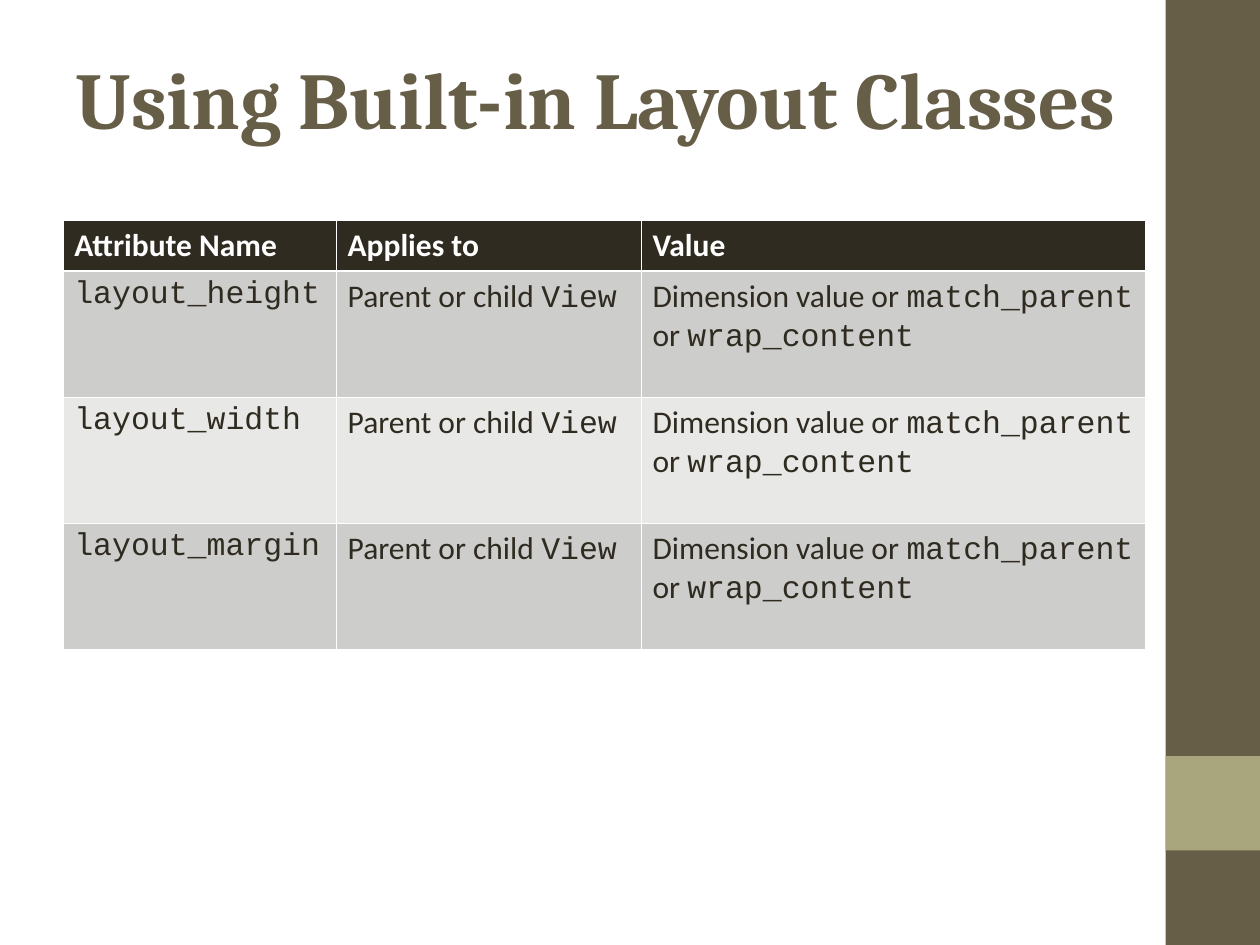
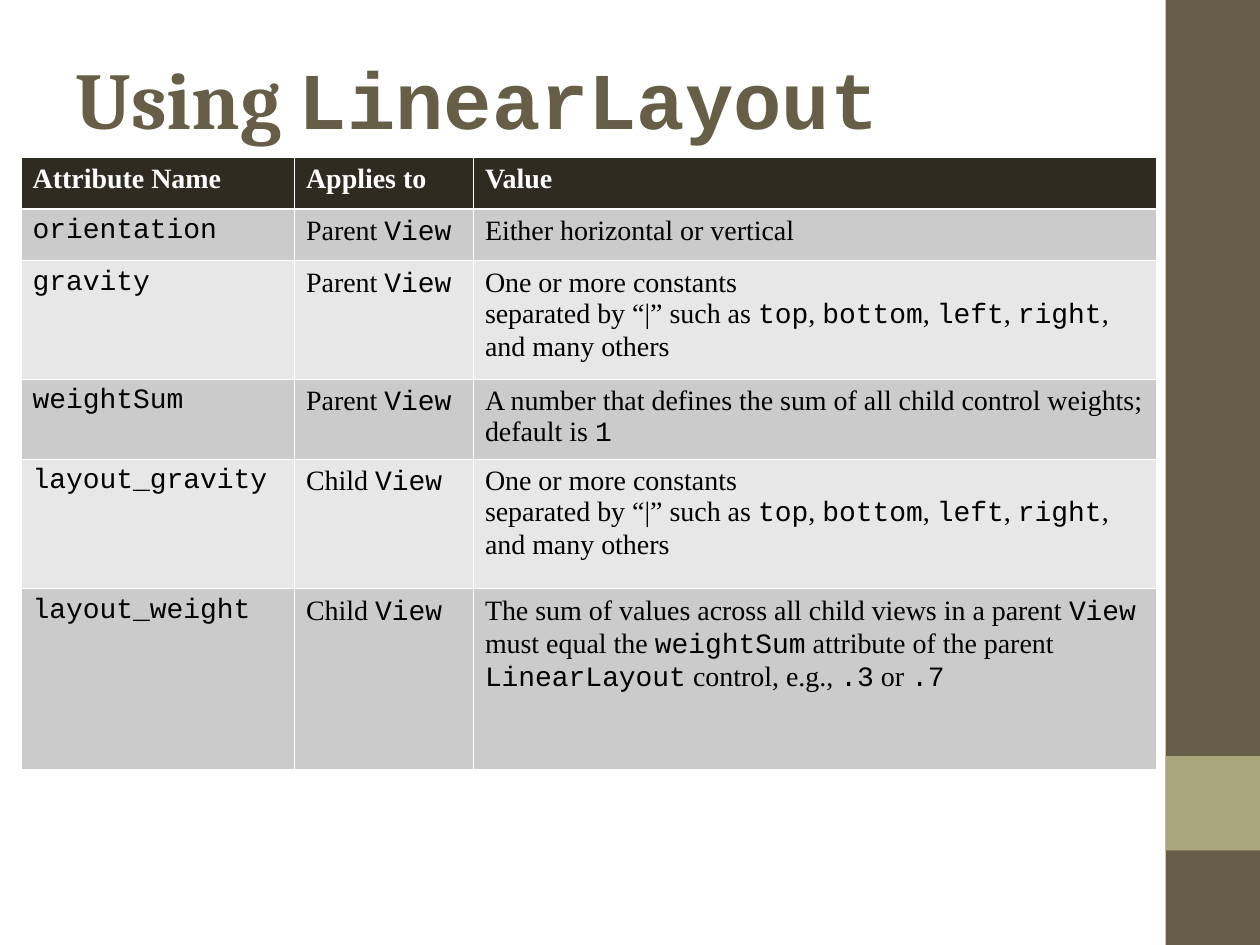
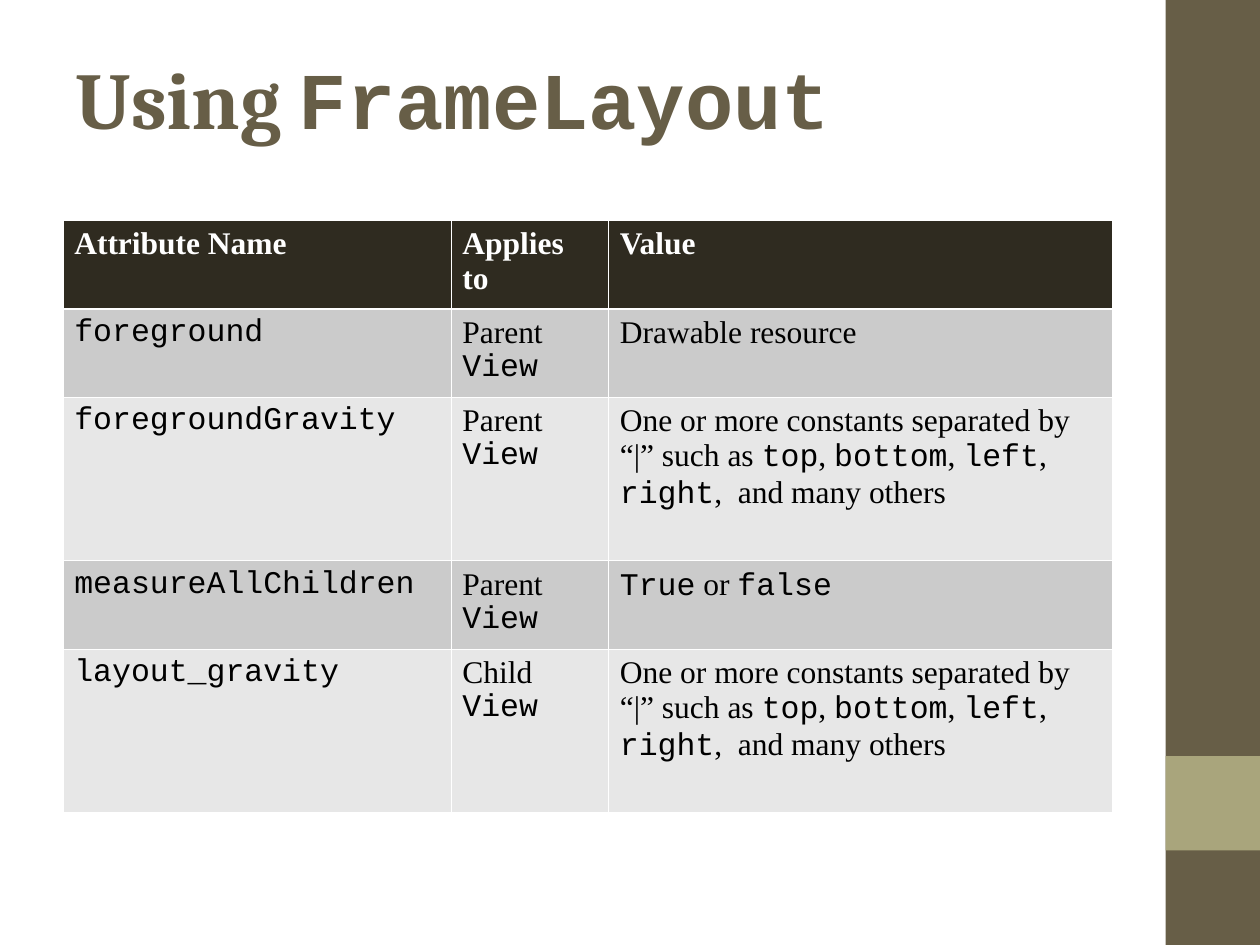
"""Build three slides on mobile layout attributes, each with a titled table."""
from pptx import Presentation
from pptx.dml.color import RGBColor
from pptx.enum.shapes import MSO_SHAPE
from pptx.enum.text import MSO_ANCHOR
from pptx.oxml import parse_xml
from pptx.oxml.ns import nsdecls
from pptx.util import Inches, Pt

COLORS = {
    "band": "675E47",
    "accent": "A9A57C",
    "title": "675E47",
    "header": "2F2B20",
    "white": "FFFFFF",
    "black": "000000",
    "warm_dark": "CDCDCC",
    "warm_light": "E8E8E7",
    "gray_dark": "CBCBCB",
    "gray_light": "E7E7E7",
}
WARM = ("warm_dark", "warm_light")
GRAY = ("gray_dark", "gray_light")
CODE_FONT = "Courier New"
HEADERS = ("Attribute Name", "Applies to", "Value")
THIN, THICK = Pt(0.45), Pt(1.47)

DIMENSION = "Dimension value or `match_parent` or `wrap_content`"
SIDES = "separated by “|” such as `top`, `bottom`, `left`, `right`,"
TWO_LINE_SIDES = f"One or more constants\n{SIDES} and many others"
ONE_LINE_SIDES = f"One or more constants {SIDES}  and many others"

BUILT_IN_ROWS = [
    (f"`layout_{name}`", "Parent or child `View`", DIMENSION)
    for name in ("height", "width", "margin")
]
LINEAR_ROWS = [
    ("`orientation`", "Parent `View`", "Either horizontal or vertical"),
    ("`gravity`", "Parent `View`", TWO_LINE_SIDES),
    ("`weightSum`", "Parent `View`",
     "A number that defines the sum of all child control weights; default is `1`"),
    ("`layout_gravity`", "Child `View`", TWO_LINE_SIDES),
    ("`layout_weight`", "Child `View`",
     "The sum of values across all child views in a parent `View` must equal the "
     "`weightSum` attribute of the parent `LinearLayout` control, e.g., `.3` or `.7`"),
]
FRAME_ROWS = [
    ("`foreground`", "Parent `View`", "Drawable resource"),
    ("`foregroundGravity`", "Parent `View`", ONE_LINE_SIDES),
    ("`measureAllChildren`", "Parent `View`", "`True` or `false`"),
    ("`layout_gravity`", "Child `View`", ONE_LINE_SIDES),
]


def rgb(name):
    """Return the named colour."""
    return RGBColor.from_string(COLORS[name])


def write(tf, text, font, size, color, bold):
    """Fill a text frame, setting the parts between backticks in the code font."""
    for i, line in enumerate(text.split("\n")):
        p = tf.add_paragraph() if i else tf.paragraphs[0]
        for j, part in enumerate(line.split("`")):
            if part:
                r = p.add_run()
                r.text = part
                r.font.name = CODE_FONT if j % 2 else font
                r.font.size = Pt(size)
                r.font.bold = bold
                r.font.color.rgb = rgb(color)


def add_band(s, top, height, color):
    """Add a block of the band on the right edge."""
    sp = s.shapes.add_shape(MSO_SHAPE.RECTANGLE, Inches(9.25), Inches(top),
                            Inches(0.75), Inches(height))
    sp.shadow.inherit = False
    sp.fill.solid()
    sp.fill.fore_color.rgb = rgb(color)
    sp.line.fill.background()


def add_title(s, text):
    """Add the slide title."""
    sp = s.shapes.add_textbox(Inches(0.5), Inches(0.3), Inches(9), Inches(0.95))
    tf = sp.text_frame
    tf.word_wrap = True
    tf.vertical_anchor = MSO_ANCHOR.MIDDLE
    write(tf, text, "Cambria", 46, "title", True)


def add_slide(prs, title):
    """Add a blank slide with the shared bands and a title."""
    s = prs.slides.add_slide(prs.slide_layouts[6])
    add_band(s, 0, 7.5, "band")
    add_band(s, 6, 0.75, "accent")
    add_title(s, title)
    return s


def set_borders(cell, top, bottom):
    """Draw white borders around a cell."""
    widths = {"lnL": THIN, "lnR": THIN, "lnT": top, "lnB": bottom}
    tc_pr = cell._tc.get_or_add_tcPr()
    for tag, width in widths.items():
        tc_pr.append(parse_xml(
            f'<a:{tag} {nsdecls("a")} w="{int(width)}"><a:solidFill>'
            f'<a:srgbClr val="{COLORS["white"]}"/></a:solidFill></a:{tag}>'))


def add_attribute_table(s, left, top, cols, heights, rows, font, size, ink, stripes):
    """Add a table with a dark header row and striped attribute rows."""
    table = s.shapes.add_table(len(rows) + 1, len(cols), Inches(left), Inches(top),
                               Inches(sum(cols)), Inches(sum(heights))).table
    table.horz_banding = False
    for col, width in zip(table.columns, cols):
        col.width = Inches(width)
    for i, (height, texts) in enumerate(zip(heights, [HEADERS, *rows])):
        table.rows[i].height = Inches(height)
        is_header = i == 0
        for cell, text in zip(table.rows[i].cells, texts):
            cell.margin_left = cell.margin_right = Inches(0.09)
            cell.margin_top = cell.margin_bottom = Inches(0.05)
            set_borders(cell, THICK if i == 1 else THIN, THICK if is_header else THIN)
            cell.fill.solid()
            cell.fill.fore_color.rgb = rgb("header" if is_header else stripes[(i - 1) % 2])
            write(cell.text_frame, text, font, size,
                  "white" if is_header else ink, is_header)


def main():
    """Build and save the presentation."""
    prs = Presentation()
    prs.slide_width, prs.slide_height = Inches(10), Inches(7.5)

    s = add_slide(prs, "Using Built-in Layout Classes")
    add_attribute_table(s, 0.5, 1.75, (2.17, 2.42, 4), (0.4, 1, 1, 1),
                        BUILT_IN_ROWS, "Calibri", 18, "header", WARM)

    s = add_slide(prs, "Using `LinearLayout`")
    add_attribute_table(s, 0.17, 1.25, (2.17, 1.42, 5.42),
                        (0.41, 0.41, 0.94, 0.63, 1.03, 1.43),
                        LINEAR_ROWS, "Times New Roman", 16, "black", GRAY)

    s = add_slide(prs, "Using `FrameLayout`")
    add_attribute_table(s, 0.5, 1.75, (3.08, 1.25, 4), (0.7, 0.7, 1.3, 0.7, 1.3),
                        FRAME_ROWS, "Times New Roman", 18, "black", GRAY)

    prs.save("out.pptx")


if __name__ == "__main__":
    main()
